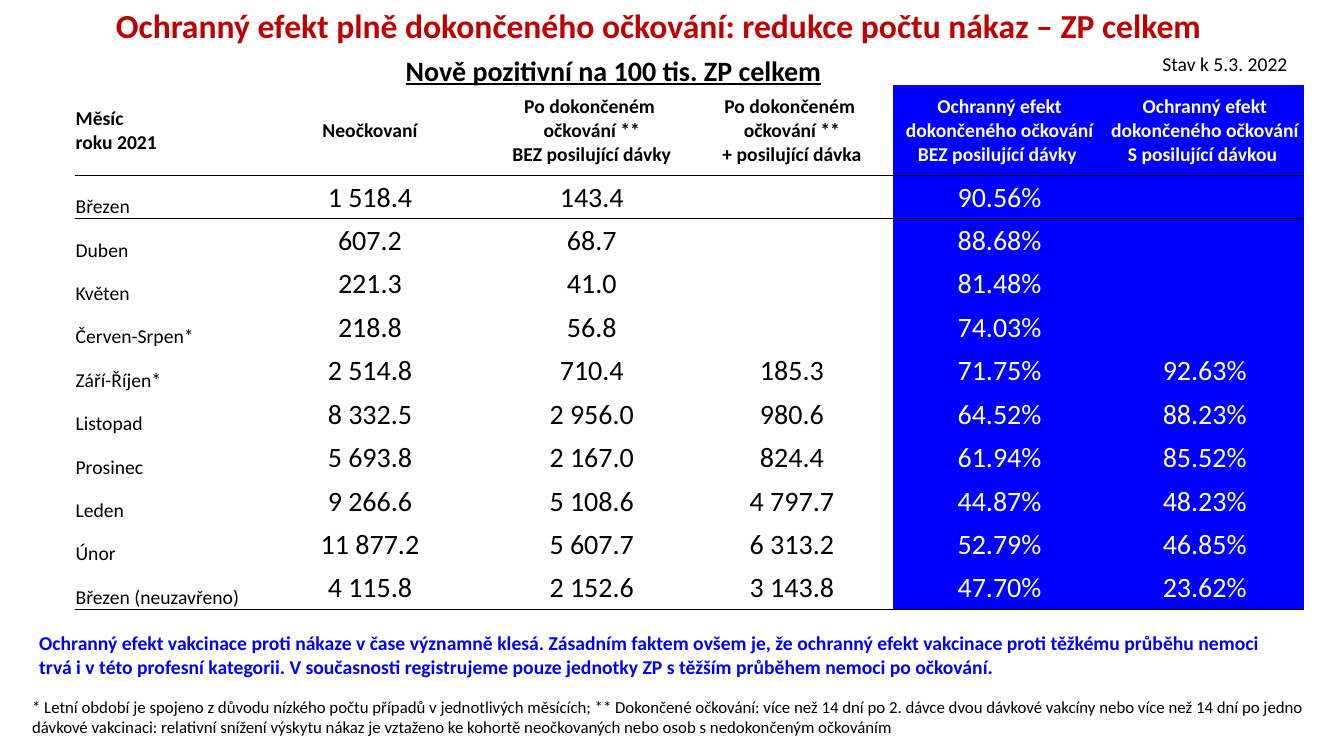
from lxml import etree
from pptx import Presentation
from pptx import util as u
from pptx.dml.color import RGBColor
from pptx.enum import text as t
from pptx.oxml.ns import qn

PX = 9144
RED, BLACK, WHITE, BLUE = "C00000", "000000", "FFFFFF", "0000FF"
LEFT, MID = t.PP_ALIGN.LEFT, t.PP_ALIGN.CENTER
PLAIN = "{2D5ABB26-0587-4C30-8999-92F81FD0307C}"

TITLE = "Ochranný efekt plně dokončeného očkování: redukce počtu nákaz – ZP celkem "
SUB = "Nově pozitivní na 100 tis. ZP celkem"
NOTE = (
    "* Letní období je spojeno z důvodu nízkého počtu případů v jednotlivých měsících; "
    "** Dokončené očkování: více než 14 dní po 2. dávce dvou dávkové vakcíny nebo více než "
    "14 dní po jedno dávkové vakcinaci: relativní snížení výskytu nákaz je vztaženo ke "
    "kohortě neočkovaných nebo osob s nedokončeným očkováním"
)
CLAIM = (
    "Ochranný efekt vakcinace proti nákaze v čase významně klesá. Zásadním faktem ovšem je, "
    "že ochranný efekt vakcinace proti těžkému průběhu nemoci trvá i v této profesní "
    "kategorii. V současnosti registrujeme pouze jednotky ZP s těžším průběhem nemoci po "
    "očkování."
)
DATE = "Stav k 5.3. 2022"

HEAD = [
    "Měsíc\nroku 2021",
    "Neočkovaní",
    "Po dokončeném \nočkování **\nBEZ posilující dávky",
    "Po dokončeném \nočkování **\n+ posilující dávka",
    "Ochranný efekt dokončeného očkování BEZ posilující dávky ",
    "Ochranný efekt dokončeného očkování S posilující dávkou ",
]
ROWS = [
    ("Březen", "1 518.4", "143.4", "", "90.56%", ""),
    ("Duben", "607.2", "68.7", "", "88.68%", ""),
    ("Květen", "221.3", "41.0", "", "81.48%", ""),
    ("Červen-Srpen*", "218.8", "56.8", "", "74.03%", ""),
    ("Září-Říjen*", "2 514.8", "710.4", "185.3", "71.75%", "92.63%"),
    ("Listopad", "8 332.5", "2 956.0", "980.6", "64.52%", "88.23%"),
    ("Prosinec", "5 693.8", "2 167.0", "824.4", "61.94%", "85.52%"),
    ("Leden", "9 266.6", "5 108.6", "4 797.7", "44.87%", "48.23%"),
    ("Únor", "11 877.2", "5 607.7", "6 313.2", "52.79%", "46.85%"),
    ("Březen (neuzavřeno)", "4 115.8", "2 152.6", "3 143.8", "47.70%", "23.62%"),
]
COLS = [171, 244, 196, 201, 211, 196]
TOP, HIGH, BODY = 43, 90, 431

BOXES = [
    (TITLE, (22, 4, 1270, 145), MID, 0.9, dict(size=24, bold=True), RED),
    (SUB, (387, 48, 443, 44), MID, 1, dict(size=20, bold=True, underline=True), BLACK),
    (NOTE, (22, 686, 1299, 50), LEFT, 1, dict(size=12), BLACK),
    (CLAIM, (29, 621, 1258, 57), LEFT, 1, dict(size=14, bold=True), BLUE),
    (DATE, (1143, 47, 190, 34), LEFT, 1, dict(size=14), BLACK),
]


def px(n):
    return u.Emu(int(n * PX))


def rgb(tone):
    return RGBColor.from_string(tone)


def write(frame, words, align, space, form, tone):
    frame.text = words
    for para in frame.paragraphs:
        para.alignment = align
        para.line_spacing = space
        for run in para.runs:
            font = run.font
            font.name = "Calibri"
            font.color.rgb = rgb(tone)
            for key, val in form.items():
                setattr(font, key, u.Pt(val) if key == "size" else val)


def rule(cell, side):
    props = cell._tc.get_or_add_tcPr()
    line = etree.Element(qn("a:" + side), w=str(u.Pt(1)))
    fill = etree.SubElement(line, qn("a:solidFill"))
    etree.SubElement(fill, qn("a:srgbClr"), val=BLACK)
    props.insert(0, line)


def draw_table(slide):
    data = [HEAD] + ROWS
    frame = slide.shapes.add_table(
        len(data) + 1, len(COLS), px(74), px(41), px(sum(COLS)), px(TOP + HIGH + BODY)
    )
    table = frame.table
    table.first_row = table.horz_banding = False
    frame._element.find(".//" + qn("a:tableStyleId")).text = PLAIN
    for col, wide in zip(table.columns, COLS):
        col.width = px(wide)
    for row, high in zip(table.rows, [TOP, HIGH] + [BODY / len(ROWS)] * len(ROWS)):
        row.height = px(high)
    for cell in table.iter_cells():
        cell.fill.background()
    table.cell(0, 2).merge(table.cell(0, 5))

    for r, row in enumerate(data, 1):
        for c, words in enumerate(row):
            cell = table.cell(r, c)
            head, month, blue = r == 1, c == 0, c > 3
            if blue:
                cell.fill.solid()
                cell.fill.fore_color.rgb = rgb(BLUE)
            if words:
                for side in ("left", "right", "top"):
                    setattr(cell, "margin_" + side, px(1))
                cell.margin_bottom = 0
                low = month and not head
                cell.vertical_anchor = t.MSO_ANCHOR.BOTTOM if low else t.MSO_ANCHOR.MIDDLE
                form = dict(size=14 if head or month else 20, bold=head)
                write(cell.text_frame, words, LEFT if month else MID, 1, form,
                      WHITE if blue else BLACK)
            if r in (1, len(data)):
                rule(cell, "lnB")
            if r == 2:
                rule(cell, "lnT")


def main():
    deck = Presentation()
    deck.slide_width, deck.slide_height = px(1333), px(750)
    slide = deck.slides.add_slide(deck.slide_layouts[6])
    draw_table(slide)
    for words, place, align, space, form, tone in BOXES:
        frame = slide.shapes.add_textbox(*map(px, place)).text_frame
        frame.word_wrap = True
        write(frame, words, align, space, form, tone)
    deck.save("out.pptx")


if __name__ == "__main__":
    main()
